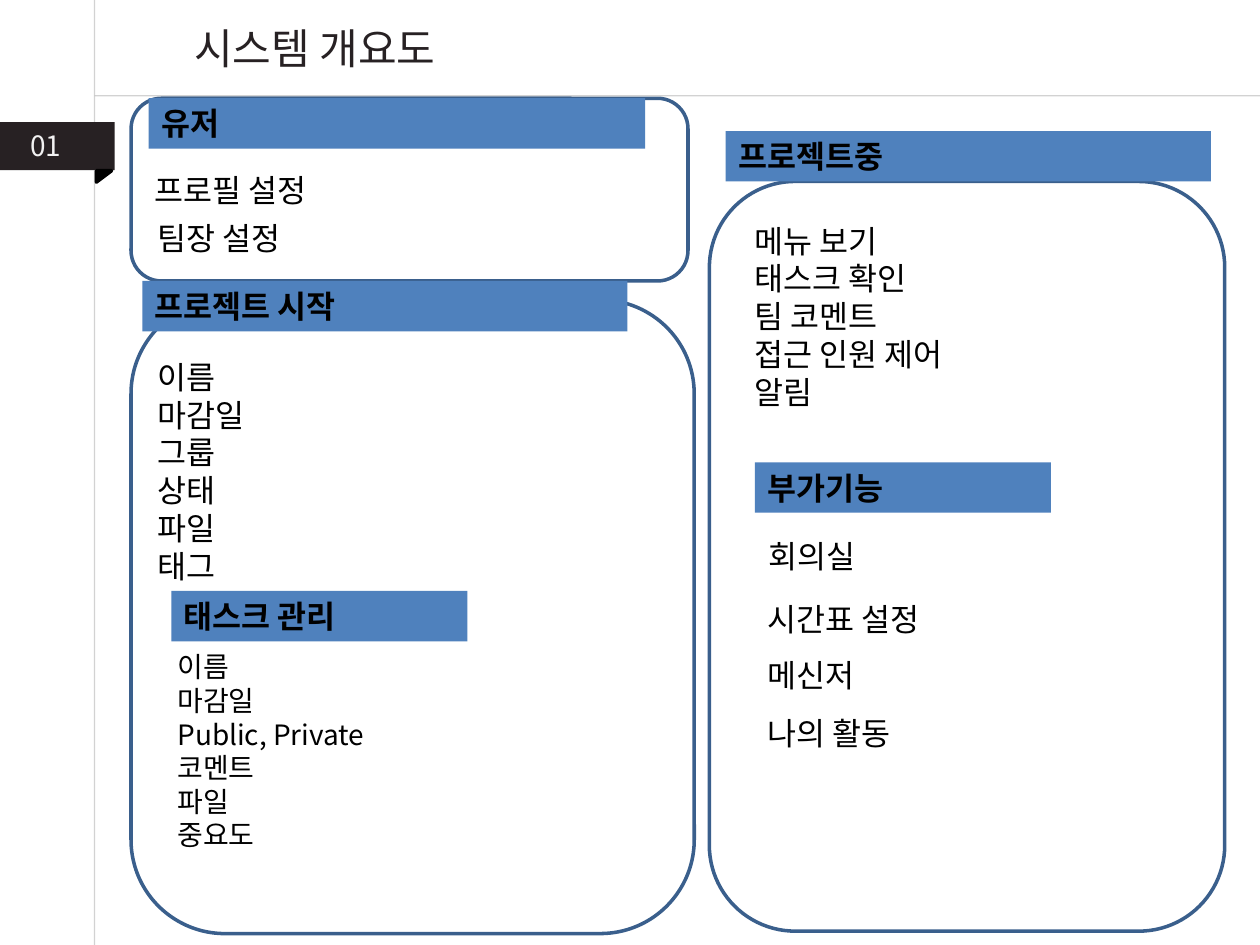
from lxml.etree import SubElement
from pptx import Presentation
from pptx.dml.color import RGBColor
from pptx.enum.shapes import MSO_CONNECTOR, MSO_SHAPE
from pptx.enum.text import MSO_ANCHOR, MSO_AUTO_SIZE, PP_ALIGN
from pptx.oxml.ns import qn
from pptx.util import Inches, Pt

FONT = "Noto Sans CJK KR"
WIDTH, HEIGHT = 10, 7.5
MARGIN_X, HEADER_Y = 0.75, 0.76
BAR_HEIGHT = 0.4
LINE_RATIO = 1.2
INK, BLACK, WHITE = "272123", "000000", "FFFFFF"
BAR_BLUE, PANEL_BLUE, RULE_GREY = "4F81BD", "3A5F8C", "A6A6A6"

TITLE = "시스템 개요도"
SECTION_NUMBER = "01"

# left, top, width, height
PANELS = [
    (1.04, 0.78, 4.42, 1.45),
    (5.63, 1.44, 4.09, 5.95),
    (1.04, 2.38, 4.47, 5.03),
]

# heading, left, top, width
HEADINGS = [
    ("유저", 1.18, 0.78, 3.94),
    ("프로젝트 시작", 1.13, 2.23, 3.85),
    ("태스크 관리", 1.36, 4.69, 2.35),
    ("프로젝트중", 5.76, 1.04, 3.85),
    ("부가기능", 5.99, 3.67, 2.35),
]

# lines, left, top, width, text size
ITEMS = [
    (["프로필 설정"], 1.13, 1.31, 4.25, 18),
    (["팀장 설정"], 1.15, 1.69, 4.23, 18),
    (["이름", "마감일", "그룹", "상태", "파일", "태그"], 1.15, 2.79, 3.82, 18),
    (["이름", "마감일", "Public, Private", "코멘트", "파일", "중요도"],
     1.31, 5.11, 3.35, 16),
    (["메뉴 보기", "태스크 확인", "팀 코멘트", "접근 인원 제어", "알림"],
     5.89, 1.71, 3.48, 18),
    (["회의실"], 6, 4.21, 2.35, 18),
    (["시간표 설정"], 5.99, 4.71, 2.35, 18),
    (["메신저"], 5.99, 5.16, 2.35, 18),
    (["나의 활동"], 5.99, 5.62, 2.35, 18),
]


def rgb(color):
    return RGBColor.from_string(color)


def write(frame, lines, size, color=BLACK, bold=False, align=PP_ALIGN.LEFT,
          anchor=MSO_ANCHOR.TOP):
    frame.word_wrap = True
    frame.auto_size = MSO_AUTO_SIZE.NONE
    frame.vertical_anchor = anchor
    frame.margin_left = frame.margin_right = Inches(0.1)
    frame.margin_top = frame.margin_bottom = Inches(0.05)
    for index, line in enumerate(lines):
        paragraph = frame.add_paragraph() if index else frame.paragraphs[0]
        paragraph.alignment = align
        paragraph.line_spacing = Pt(size * LINE_RATIO)
        run = paragraph.add_run()
        run.text = line
        font = run.font
        font.name, font.size, font.bold = FONT, Pt(size), bold
        font.color.rgb = rgb(color)
        SubElement(font._element, qn("a:ea"), typeface=FONT)


def add_box(slide, preset, bounds, fill, line=None):
    box = slide.shapes.add_shape(preset, *map(Inches, bounds))
    box.shadow.inherit = False
    box.fill.solid()
    box.fill.fore_color.rgb = rgb(fill)
    if line:
        box.line.color.rgb = rgb(line)
        box.line.width = Pt(2)
    else:
        box.line.fill.background()
    return box


def add_rule(slide, *ends):
    """Draw a half-transparent grey line from x1, y1 to x2, y2."""
    rule = slide.shapes.add_connector(MSO_CONNECTOR.STRAIGHT, *map(Inches, ends))
    rule.line.color.rgb = rgb(RULE_GREY)
    rule.line.width = Pt(0.75)
    properties = rule._element.spPr
    SubElement(next(properties.iter(qn("a:srgbClr"))), qn("a:alpha"), val="50000")
    SubElement(properties, qn("a:effectLst"))


def add_text(slide, lines, left, top, width, size, color=BLACK):
    height = 0.1 + len(lines) * size * LINE_RATIO / 72
    box = slide.shapes.add_textbox(*map(Inches, (left, top, width, height)))
    write(box.text_frame, lines, size, color)


def main():
    deck = Presentation()
    deck.slide_width, deck.slide_height = Inches(WIDTH), Inches(HEIGHT)
    slide = deck.slides.add_slide(deck.slide_layouts[5])

    title = slide.shapes.title
    title.left, title.top, title.width, title.height = map(
        Inches, (0.22, 0.13, 4.56, 0.5))
    write(title.text_frame, [TITLE], 24, INK, align=PP_ALIGN.CENTER)

    for bounds in PANELS:
        add_box(slide, MSO_SHAPE.ROUNDED_RECTANGLE, bounds, WHITE, PANEL_BLUE)

    add_rule(slide, MARGIN_X, 0, MARGIN_X, HEIGHT)
    add_box(slide, MSO_SHAPE.RECTANGLE, (0, 0.97, 0.91, 0.38), INK)
    fold = add_box(slide, MSO_SHAPE.RIGHT_TRIANGLE, (0.78, 1.34, 0.09, 0.12),
                   BLACK, BLACK)
    fold.rotation = 90
    add_rule(slide, WIDTH, HEADER_Y, MARGIN_X, HEADER_Y)
    add_text(slide, [SECTION_NUMBER], 0.14, 0.97, 0.59, 16, "F2F2F2")

    for heading, left, top, width in HEADINGS:
        bar = add_box(slide, MSO_SHAPE.RECTANGLE,
                      (left, top, width, BAR_HEIGHT), BAR_BLUE)
        write(bar.text_frame, [heading], 18, bold=True)
    for item in ITEMS:
        add_text(slide, *item)

    deck.save("out.pptx")


if __name__ == "__main__":
    main()
